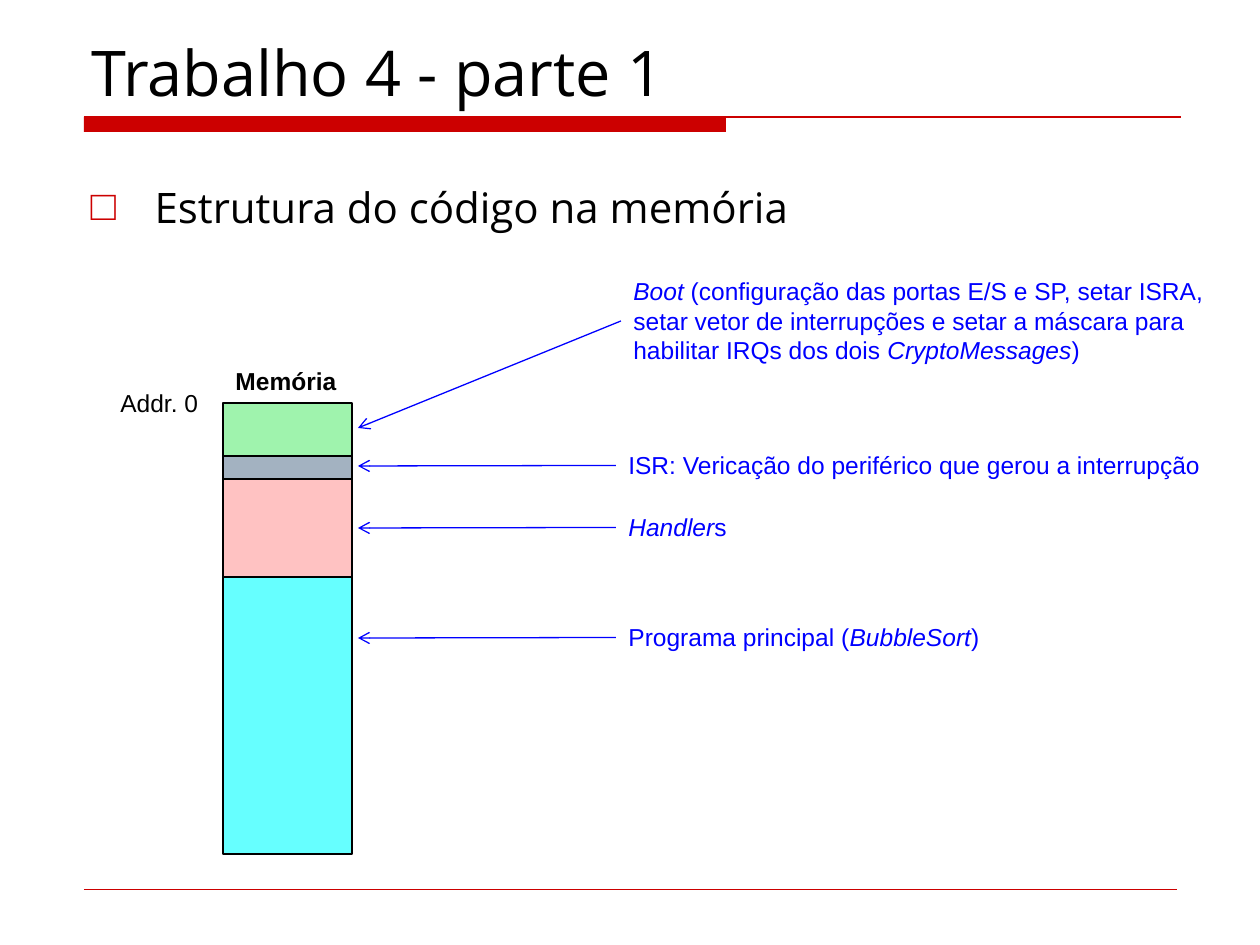
from lxml import etree
from pptx import Presentation
from pptx import util as u
from pptx.dml.color import RGBColor
from pptx.enum import shapes, text
from pptx.oxml.ns import qn

PX = 914400 / 126
HUES = {"red": "CC0000", "blue": "0000FF", "black": "000000", "boot": "9FF3AD",
        "isr": "A3B2C1", "hand": "FFC2C2", "main": "66FFFF"}
HUES = {name: RGBColor.from_string(code) for name, code in HUES.items()}


def px(*vals):
    return [u.Emu(round(v * PX)) for v in vals]


def style(para, face, size, hue):
    para.font.name = face
    para.font.size = u.Pt(size)
    para.font.color.rgb = HUES[hue]


deck = Presentation()
deck.slide_width, deck.slide_height = px(1260, 945)
slide = deck.slides.add_slide(deck.slide_layouts[1])
items = slide.shapes

bar = items.add_shape(shapes.MSO_SHAPE.RECTANGLE, *px(84, 117, 642, 15))
bar.shadow.inherit = False
bar.fill.solid()
bar.fill.fore_color.rgb = HUES["red"]
bar.line.fill.background()

heads = [
    (items.title, (79, 42, 1103, 73), "Trabalho 4 - parte 1", 36, text.MSO_ANCHOR.BOTTOM),
    (slide.placeholders[1], (78, 175, 1131, 118), "Estrutura do código na memória", 24,
     text.MSO_ANCHOR.TOP),
]
for hold, place, words, size, anchor in heads:
    hold.left, hold.top, hold.width, hold.height = px(*place)
    frame = hold.text_frame
    frame.text = words
    frame.auto_size = text.MSO_AUTO_SIZE.NONE
    frame.vertical_anchor = anchor
    para = frame.paragraphs[0]
    para.alignment = text.PP_ALIGN.LEFT
    style(para, "Open Sans", size, "black")

para.space_before = u.Pt(5)
props = para._p.get_or_add_pPr()
indent = px(64)[0]
props.set("marL", str(indent))
props.set("indent", str(-indent))
tint = etree.Element(qn("a:buClr"))
etree.SubElement(tint, qn("a:srgbClr")).set("val", str(HUES["red"]))
mark = etree.Element(qn("a:buChar"))
mark.set("char", "□")
spot = props.index(props.find(qn("a:defRPr")))
props[spot:spot] = [tint, mark]

top = 403
for hue, high in [("boot", 53), ("isr", 23), ("hand", 98), ("main", 277)]:
    block = items.add_shape(shapes.MSO_SHAPE.RECTANGLE, *px(223, top, 129, high))
    block.shadow.inherit = False
    block.fill.solid()
    block.fill.fore_color.rgb = HUES[hue]
    block.line.color.rgb = HUES["black"]
    block.line.width = u.Pt(0.75)
    top += high

lines = [((84, 117, 1181, 117), "red", 0.75, None),
         ((84, 889, 1177, 889), "red", 0.25, None)]

# Parts between bars are italic.
labels = [
    ((621, 270, 627, 102), "|Boot| (configuração das portas E/S e SP, setar ISRA, setar vetor de "
     "interrupções e setar a máscara para habilitar IRQs dos dois |CryptoMessages|)", "blue", 428),
    ((616, 444, 617, 43), "ISR: Vericação do periférico que gerou a interrupção", "blue", 466),
    ((616, 506, 617, 43), "|Handler|s", "blue", 528),
    ((616, 616, 386, 43), "Programa principal (|BubbleSort|)", "blue", 638),
    ((108, 382, 103, 43), "Addr. 0", "black", None),
    ((220, 360, 132, 43), "Memória", "black", None),
]
for place, words, hue, goal in labels:
    box = items.add_textbox(*px(*place))
    box.text_frame.word_wrap = words != "Addr. 0"
    para = box.text_frame.paragraphs[0]
    style(para, "Arial", 14, hue)
    if words == "Memória":
        para.font.bold = True
        para.alignment = text.PP_ALIGN.CENTER
    for at, part in enumerate(words.split("|")):
        if part:
            run = para.add_run()
            run.text = part
            if at % 2:
                run.font.italic = True
    if goal:
        left, high = place[0], place[1] + place[3] // 2
        lines.append(((left, high, 358, goal), "blue", 0.75, box))

for ends, hue, width, box in lines:
    line = items.add_connector(shapes.MSO_CONNECTOR.STRAIGHT, *px(*ends))
    line.line.color.rgb = HUES[hue]
    line.line.width = u.Pt(width)
    if box:
        line.begin_connect(box, 1)
        tip = etree.SubElement(line.line._get_or_add_ln(), qn("a:tailEnd"))
        tip.set("type", "arrow")
    etree.SubElement(line._element.spPr, qn("a:effectLst"))

deck.save("out.pptx")
